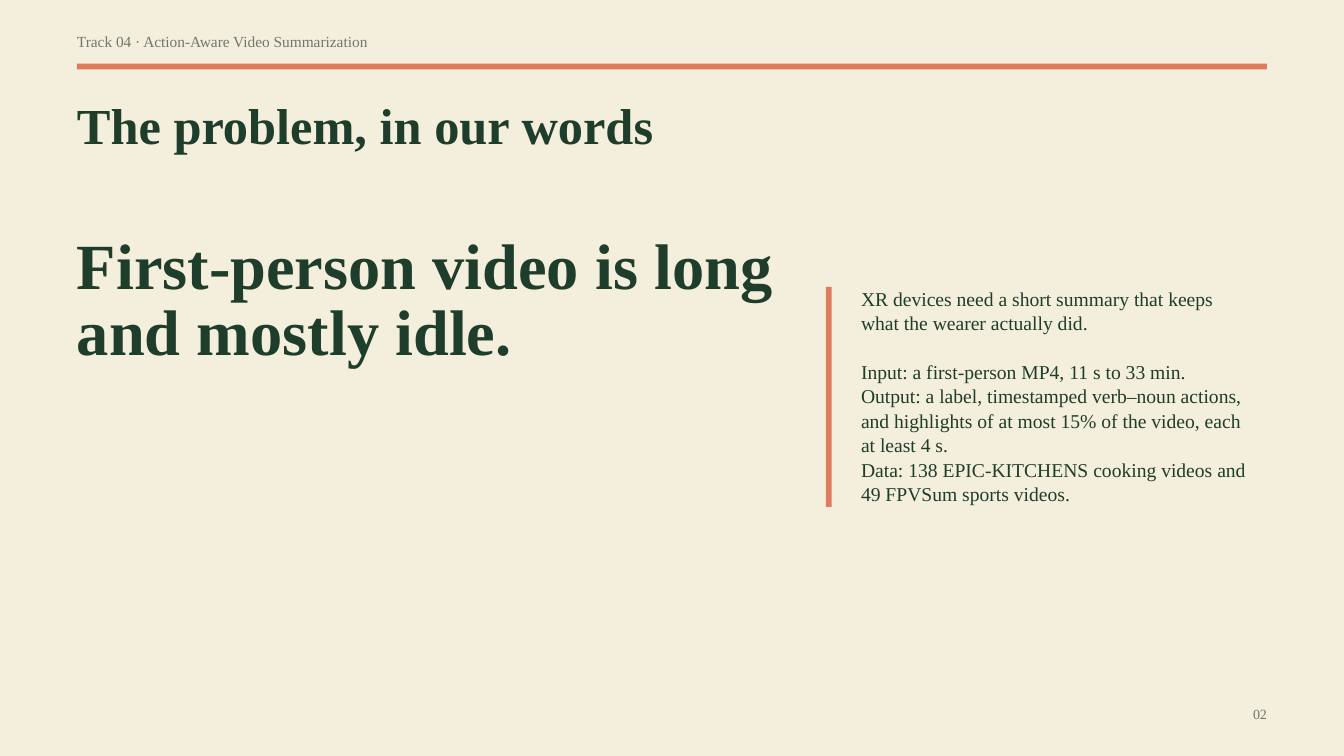
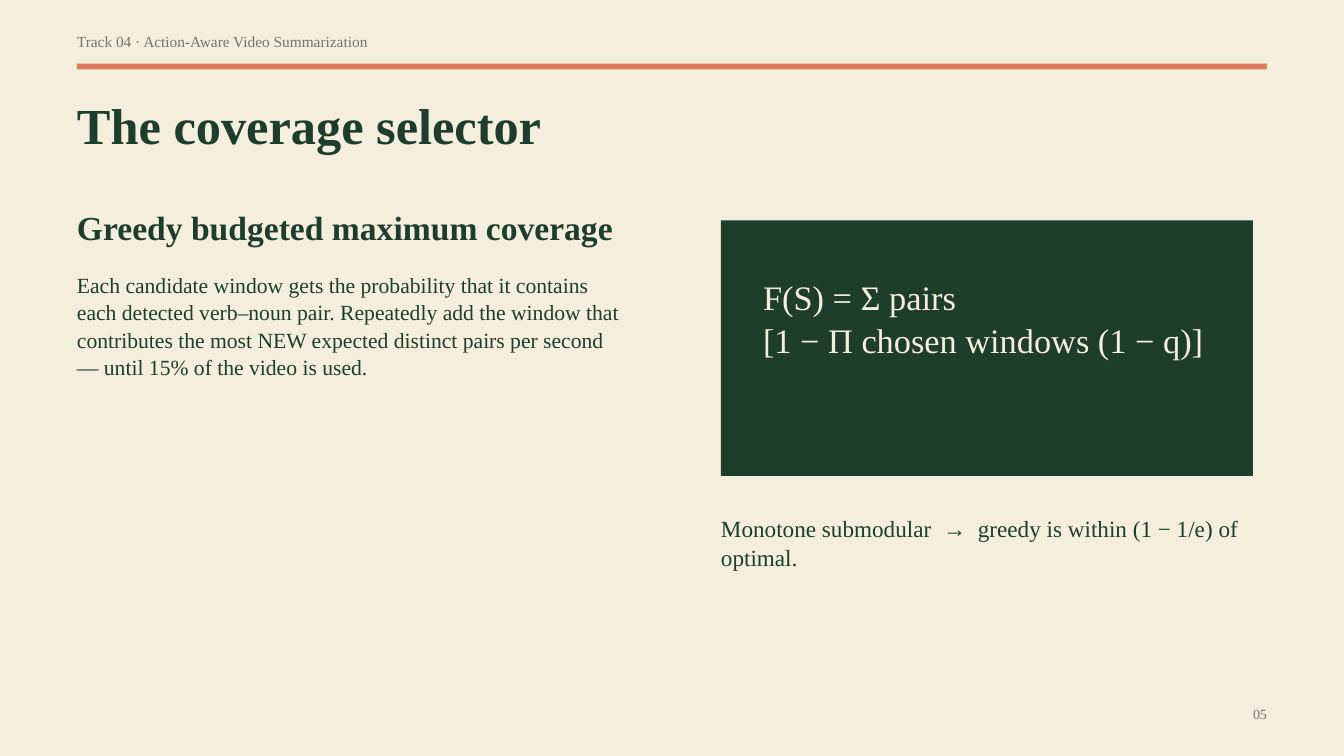
import pptx
import pptx.dml.color
import pptx.enum.shapes
import pptx.enum.text
import pptx.util

# Shared style
PX = 9525  # EMU per px on a 1920 x 1080 px slide
FONT = "Times New Roman"
CREAM, GREEN, CORAL, GREY = "F4EEDC", "1F3D2B", "E07A5F", "6F786F"
MARGIN, RULE_WIDTH, BAR = 110, 1700, 8
ALIGN = pptx.enum.text.PP_ALIGN

# Text styles: size and line spacing in points
STYLES = {
    "track": dict(size=16.5, leading=19.8, color=GREY),
    "number": dict(size=15, leading=18, color=GREY, align=ALIGN.RIGHT),
    "title": dict(size=54, leading=55.1, bold=True),
    "statement": dict(size=69, leading=70.4, bold=True),
    "brief": dict(size=21, leading=26.2),
    "heading": dict(size=36, leading=36.7, bold=True),
    "body": dict(size=23.2, leading=29.1),
    "formula": dict(size=36.8, leading=45.9, color=CREAM),
    "note": dict(size=24.8, leading=30.9),
}

# Content: places are left, top, width, height in px
TRACK = "Track 04 · Action-Aware Video Summarization"
ARROW = " →"
SLIDES = [
    dict(
        number="02",
        title="The problem, in our words",
        blocks=[(CORAL, (1180, 410, BAR, 314))],
        texts=[
            ("statement", (MARGIN, 338, 1050, 195),
             ["First-person video is long", "and mostly idle."]),
            ("brief", (1230, 408, 560, 316),
             ["XR devices need a short summary that keeps what the wearer actually did.",
              "Input: a first-person MP4, 11 s to 33 min.",
              "Output: a label, timestamped verb–noun actions, and highlights of "
              "at most 15% of the video, each at least 4 s.",
              "Data: 138 EPIC-KITCHENS cooking videos and 49 FPVSum sports videos."]),
        ],
    ),
    dict(
        number="05",
        title="The coverage selector",
        blocks=[(GREEN, (1030, 315, 760, 365))],
        texts=[
            ("heading", (MARGIN, 304, 900, 53), ["Greedy budgeted maximum coverage"]),
            ("body", (MARGIN, 387, 780, 154),
             ["Each candidate window gets the probability that it contains each "
              "detected verb–noun pair. Repeatedly add the window that contributes "
              "the most NEW expected distinct pairs per second — until 15% of the "
              "video is used."]),
            ("formula", (1090, 392, 640, 123),
             ["F(S) = Σ pairs", "[1 − Π chosen windows (1 − q)]"]),
            ("note", (1030, 733, 760, 83),
             ["Monotone submodular → greedy is within (1 − 1/e) of optimal."]),
        ],
    ),
]


def rgb(color):
    return pptx.dml.color.RGBColor.from_string(color)


def scaled(place):
    return [length * PX for length in place]


def write_line(paragraph, line, size):
    """Write one paragraph, with wider gaps around an arrow."""
    before, arrow, after = line.partition(ARROW)
    if not arrow:
        paragraph.text = line
        return
    for part in (before, arrow, after):
        paragraph.add_run().text = part
    paragraph.runs[1]._r.get_or_add_rPr().set("spc", str(round(size * 25)))


def write(frame, lines, size, leading, color=GREEN, bold=False, align=ALIGN.LEFT):
    frame.word_wrap = True
    frame.auto_size = pptx.enum.text.MSO_AUTO_SIZE.NONE
    frame.vertical_anchor = pptx.enum.text.MSO_ANCHOR.TOP
    frame.margin_left = frame.margin_right = frame.margin_top = frame.margin_bottom = 0
    for index, line in enumerate(lines):
        paragraph = frame.add_paragraph() if index else frame.paragraphs[0]
        write_line(paragraph, line, size)
        paragraph.alignment = align
        paragraph.line_spacing = pptx.util.Pt(leading)
        for run in paragraph.runs:
            run.font.name = FONT
            run.font.size = pptx.util.Pt(size)
            run.font.bold = bold
            run.font.color.rgb = rgb(color)


def add_text(slide, style, place, lines):
    frame = slide.shapes.add_textbox(*scaled(place)).text_frame
    write(frame, lines, **STYLES[style])
    return frame


def add_block(slide, color, place):
    block = slide.shapes.add_shape(pptx.enum.shapes.MSO_SHAPE.RECTANGLE, *scaled(place))
    block.shadow.inherit = False
    block.fill.solid()
    block.fill.fore_color.rgb = rgb(color)
    block.line.fill.background()


def add_slide(deck, content):
    slide = deck.slides.add_slide(deck.slide_layouts[5])

    # Header, title and page number
    title = slide.shapes.title
    title.left, title.top, title.width, title.height = scaled((MARGIN, 148, 1600, 80))
    write(title.text_frame, [content["title"]], **STYLES["title"])
    add_text(slide, "track", (MARGIN, 46, 1050, 28), [TRACK])
    add_block(slide, CORAL, (MARGIN, 91, RULE_WIDTH, BAR))
    add_text(slide, "number", (MARGIN + RULE_WIDTH - 80, 1008, 80, 26), [content["number"]])

    # Slide content
    for color, place in content["blocks"]:
        add_block(slide, color, place)
    for style, place, lines in content["texts"]:
        frame = add_text(slide, style, place, lines)
        if style == "brief":  # one line of space after the lead sentence
            frame.paragraphs[1].space_before = pptx.util.Pt(STYLES[style]["leading"])


def main():
    deck = pptx.Presentation()
    deck.slide_width, deck.slide_height = scaled((1920, 1080))
    background = deck.slide_master.background.fill
    background.solid()
    background.fore_color.rgb = rgb(CREAM)
    for content in SLIDES:
        add_slide(deck, content)
    deck.save("out.pptx")


if __name__ == "__main__":
    main()
